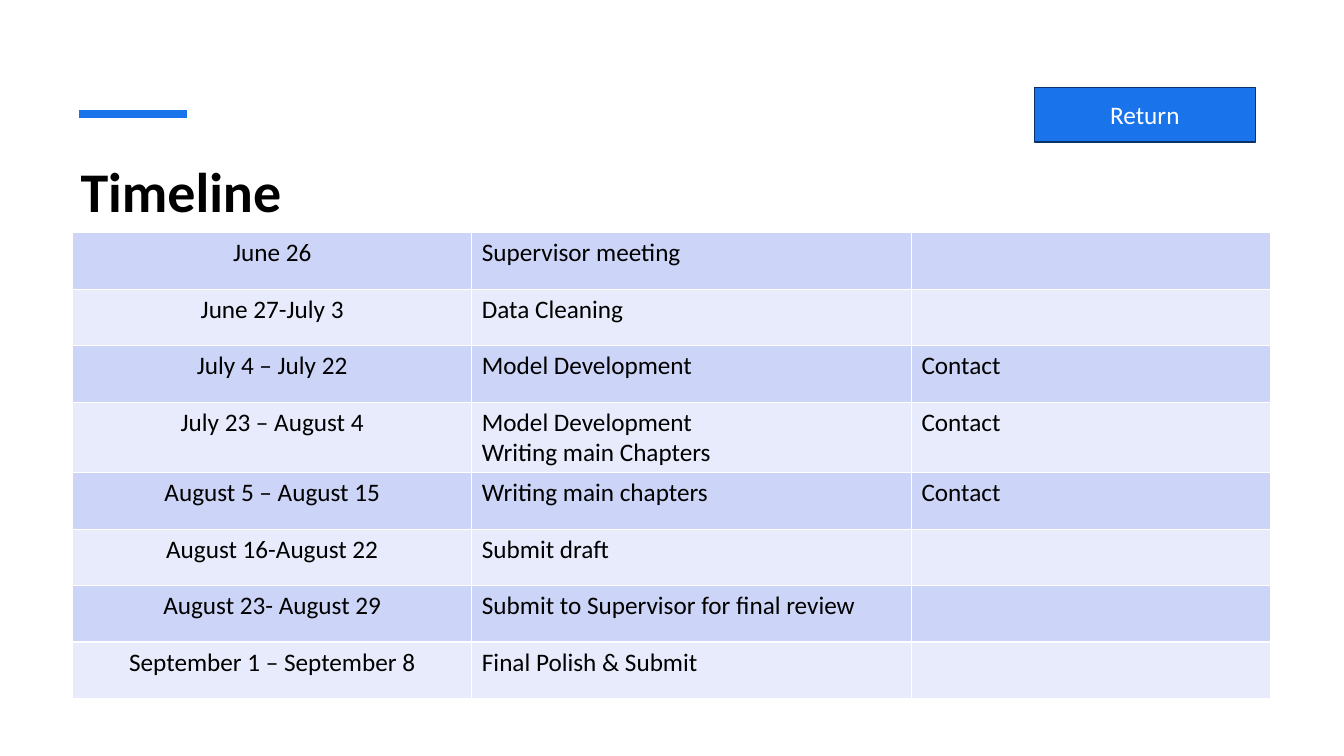
from lxml.etree import SubElement
from pptx import Presentation
from pptx.dml.color import RGBColor
from pptx.enum.shapes import MSO_CONNECTOR, MSO_SHAPE
from pptx.enum.text import MSO_ANCHOR, PP_ALIGN
from pptx.oxml.ns import qn
from pptx.util import Inches, Pt

BLUE = RGBColor(0x19, 0x73, 0xEB)
NAVY = RGBColor(0x0B, 0x32, 0x67)
BLACK = RGBColor(0, 0, 0)
WHITE = RGBColor(0xFF, 0xFF, 0xFF)
BANDS = (RGBColor(0xCC, 0xD5, 0xF7), RGBColor(0xE8, 0xEB, 0xFB))

COLUMN_WIDTHS = (3.96, 4.36, 3.56)
ROW_HEIGHT = 0.56
TIMELINE = [
    ("June 26", ["Supervisor meeting"], ""),
    ("June 27-July 3", ["Data Cleaning"], ""),
    ("July 4 – July 22", ["Model Development"], "Contact"),
    ("July 23 – August 4", ["Model Development", "Writing main Chapters"], "Contact"),
    ("August 5 – August 15", ["Writing main chapters"], "Contact"),
    ("August 16-August 22", ["Submit draft"], ""),
    ("August 23- August 29", ["Submit to Supervisor for final review"], ""),
    ("September 1 – September 8", ["Final Polish & Submit"], ""),
]


def add_run(p, text, size=18, color=BLACK, bold=False):
    """Add a formatted run to a paragraph."""
    r = p.add_run()
    r.text = text
    r.font.name = "Calibri"
    r.font.size = Pt(size)
    r.font.bold = bold
    r.font.color.rgb = color


def add_heading(s, left, top, width, height):
    """Draw the accent rule and the title below it."""
    rule_left, rule_top = left + 0.08, top + 0.05
    rule = s.shapes.add_connector(
        MSO_CONNECTOR.STRAIGHT, Inches(rule_left), Inches(rule_top),
        Inches(rule_left + 1.07), Inches(rule_top))
    rule.line.color.rgb = BLUE
    rule.line.width = Pt(6)
    SubElement(rule._element.spPr, qn("a:effectLst"))
    title = s.shapes.add_textbox(
        Inches(left), Inches(top + 0.42), Inches(width), Inches(height - 0.42))
    tf = title.text_frame
    tf.word_wrap = True
    add_run(tf.paragraphs[0], "Timeline", 40, bold=True)


def add_return_button(s, left, top, width, height):
    """Draw the return button."""
    sp = s.shapes.add_shape(
        MSO_SHAPE.RECTANGLE, Inches(left), Inches(top), Inches(width), Inches(height))
    sp.shadow.inherit = False
    sp.fill.solid()
    sp.fill.fore_color.rgb = BLUE
    sp.line.color.rgb = NAVY
    sp.line.width = Pt(1)
    tf = sp.text_frame
    tf.vertical_anchor = MSO_ANCHOR.MIDDLE
    p = tf.paragraphs[0]
    p.alignment = PP_ALIGN.CENTER
    add_run(p, "Return", color=WHITE)


def fill_cell(cell, lines, band, align):
    """Colour a cell and write its lines."""
    cell.fill.solid()
    cell.fill.fore_color.rgb = band
    p = cell.text_frame.paragraphs[0]
    p.alignment = align
    for i, line in enumerate(lines):
        if i:
            p.add_line_break()
        if line:
            add_run(p, line)


def add_timeline(s, left, top):
    """Draw the timeline table."""
    table = s.shapes.add_table(
        len(TIMELINE), len(COLUMN_WIDTHS), Inches(left), Inches(top),
        Inches(sum(COLUMN_WIDTHS)), Inches(ROW_HEIGHT * len(TIMELINE))).table
    table.first_row = False
    table.horz_banding = False
    for column, width in zip(table.columns, COLUMN_WIDTHS):
        column.width = Inches(width)
    for i, (dates, tasks, note) in enumerate(TIMELINE):
        table.rows[i].height = Inches(ROW_HEIGHT)
        band = BANDS[i % 2]
        fill_cell(table.cell(i, 0), [dates], band, PP_ALIGN.CENTER)
        fill_cell(table.cell(i, 1), tasks, band, PP_ALIGN.LEFT)
        fill_cell(table.cell(i, 2), [note], band, PP_ALIGN.LEFT)


def main():
    """Build and save the timeline slide."""
    prs = Presentation()
    prs.slide_width = Inches(13.33)
    prs.slide_height = Inches(7.5)
    s = prs.slides.add_slide(prs.slide_layouts[6])
    add_heading(s, 0.7, 1.08, 11.91, 1.62)
    add_timeline(s, 0.72, 2.31)
    add_return_button(s, 10.26, 0.87, 2.19, 0.54)
    prs.save("out.pptx")


if __name__ == "__main__":
    main()
